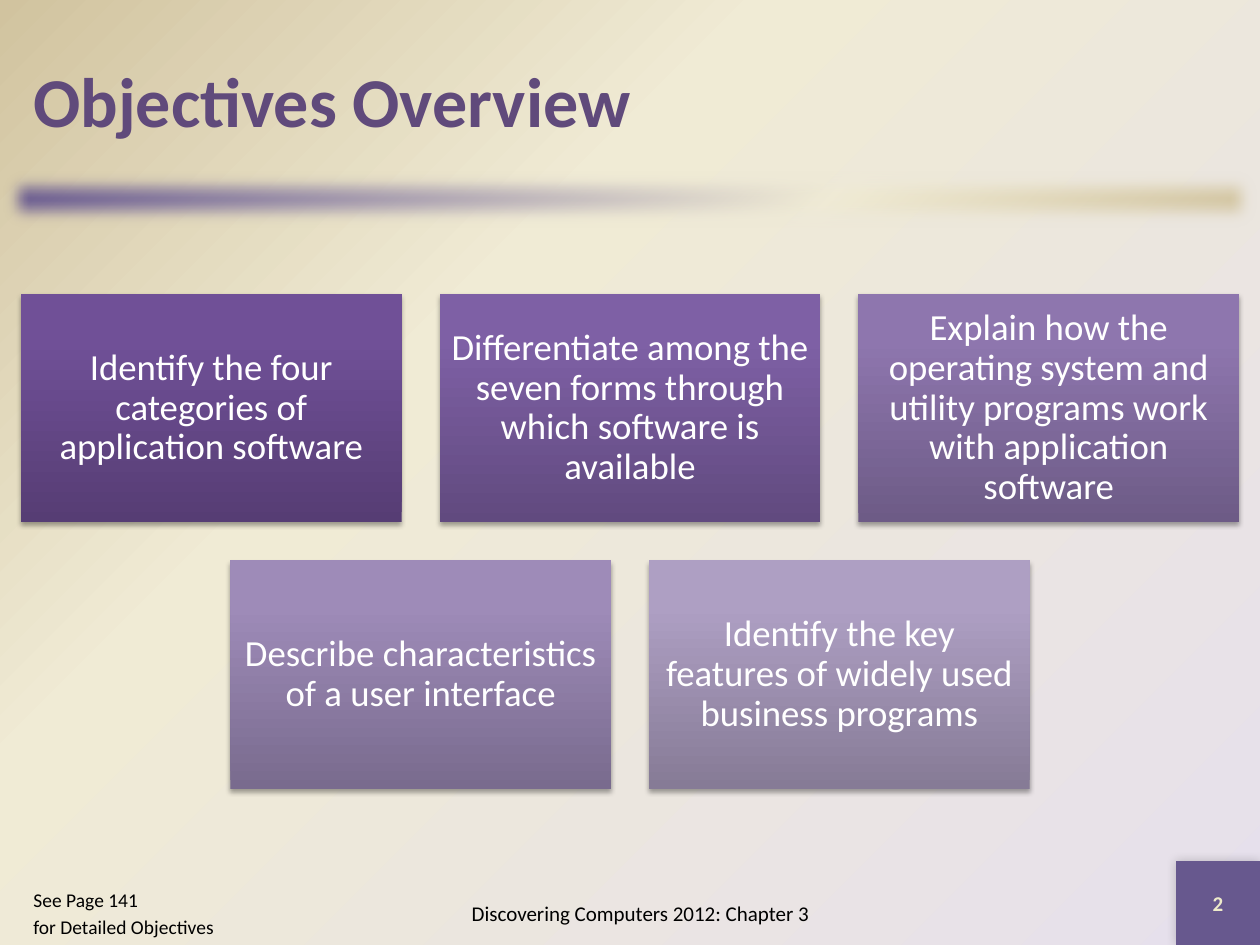
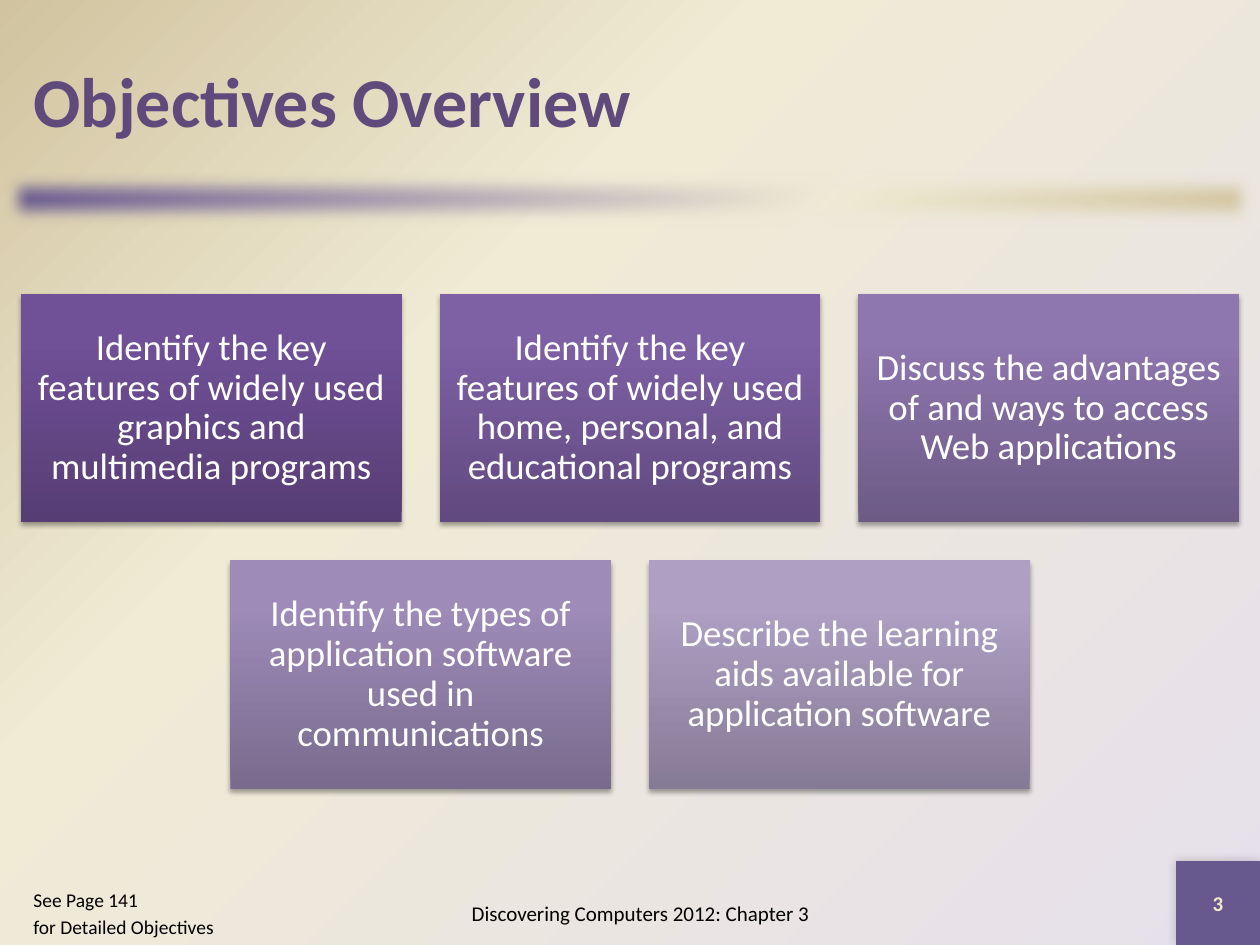
from pptx import Presentation
from pptx.dml.color import RGBColor as RGB
from pptx.enum.shapes import MSO_SHAPE as SHAPE
from pptx.enum.text import MSO_ANCHOR as ANCHOR, PP_ALIGN as ALIGN
from pptx.oxml import parse_xml
from pptx.oxml.ns import nsdecls
from pptx.util import Pt

FONT = "Calibri"
WHITE = RGB(0xFF, 0xFF, 0xFF)
BLACK = RGB(0x00, 0x00, 0x00)
TITLE_PURPLE = RGB(0x60, 0x4A, 0x7B)
ACCENT = RGB(0x67, 0x58, 0x8E)
NUMBER_CREAM = RGB(0xEE, 0xEB, 0xCA)
LAVENDER = RGB(0xE6, 0xE0, 0xEC)
CREAM = RGB(0xF0, 0xEB, 0xD5)
TAN = RGB(0xD1, 0xC3, 0x9F)

BACKGROUND = [(0, LAVENDER), (65, CREAM), (100, TAN)]
BAND = [(0, ACCENT), (65, CREAM), (100, TAN)]
# Bottom, upper and top colour of each objective box
BOX_COLOURS = [
    (RGB(0x56, 0x3D, 0x74), RGB(0x70, 0x50, 0x97), RGB(0x70, 0x4F, 0x99)),
    (RGB(0x61, 0x4A, 0x7F), RGB(0x7E, 0x60, 0xA5), RGB(0x7F, 0x60, 0xA7)),
    (RGB(0x6D, 0x5B, 0x86), RGB(0x8E, 0x76, 0xAE), RGB(0x8E, 0x75, 0xB0)),
    (RGB(0x79, 0x6B, 0x8E), RGB(0x9E, 0x8B, 0xB8), RGB(0x9E, 0x8B, 0xBA)),
    (RGB(0x86, 0x7B, 0x96), RGB(0xAE, 0x9F, 0xC3), RGB(0xAE, 0x9F, 0xC4)),
]

SLIDE_W, SLIDE_H = 720, 540
MARGIN = 12
BOX_W, BOX_H, BOX_GAP = 217.5, 130.5, 21.75
BOX_TOP = 168
PER_ROW = 3
NUMBER_SIDE = 48

OBJECTIVES = [
    ["Identify the four categories of application software",
     "Differentiate among the seven forms through which software is available",
     "Explain how the operating system and utility programs work with application software",
     "Describe characteristics of a user interface",
     "Identify the key features of widely used business programs"],
    ["Identify the key features of widely used graphics and multimedia programs",
     "Identify the key features of widely used home, personal, and educational programs",
     "Discuss the advantages of and ways to access Web applications",
     "Identify the types of application software used in communications",
     "Describe the learning aids available for application software"],
]


def gradient_xml(stops, direction):
    gs = "".join(f'<a:gs pos="{pos * 1000}"><a:srgbClr val="{colour}"/></a:gs>'
                 for pos, colour in stops)
    return (f'<a:gradFill {nsdecls("a")} rotWithShape="1">'
            f'<a:gsLst>{gs}</a:gsLst>{direction}</a:gradFill>')


def linear(angle):
    return f'<a:lin ang="{angle * 60000}" scaled="0"/>'


def shadow(blur, dist, angle, alpha):
    return (f'<a:outerShdw blurRad="{Pt(blur)}" dist="{Pt(dist)}" dir="{angle * 60000}" '
            f'rotWithShape="0"><a:srgbClr val="000000"><a:alpha val="{alpha * 1000}"/>'
            '</a:srgbClr></a:outerShdw>')


class Deck:
    """Holds the presentation, its style and the slide being drawn."""

    def __init__(self):
        self.prs = Presentation()
        self.prs.slide_width, self.prs.slide_height = Pt(SLIDE_W), Pt(SLIDE_H)

    def add_slide(self):
        self.s = self.prs.slides.add_slide(self.prs.slide_layouts[6])
        corner = '<a:path path="circle"><a:fillToRect l="100000" t="100000"/></a:path>'
        self.s._element.cSld.insert(0, parse_xml(
            f'<p:bg {nsdecls("p", "a")}><p:bgPr>{gradient_xml(BACKGROUND, corner)}'
            '<a:effectLst/></p:bgPr></p:bg>'))

    def set_text(self, sp, lines, size, colour, bold=False, align=ALIGN.LEFT,
                 anchor=ANCHOR.MIDDLE, inset=None, line_spacing=None, gap=0):
        tf = sp.text_frame
        tf.word_wrap = True
        tf.vertical_anchor = anchor
        if inset is not None:
            tf.margin_left = tf.margin_right = Pt(inset)
            tf.margin_top = tf.margin_bottom = Pt(inset)
        for i, line in enumerate(lines):
            p = tf.add_paragraph() if i else tf.paragraphs[0]
            p.text = line
            p.alignment = align
            p.line_spacing = line_spacing
            if i:
                p.space_before = Pt(gap)
            p.font.name, p.font.size, p.font.bold = FONT, Pt(size), bold
            p.font.color.rgb = colour

    def text(self, x, y, w, h, lines, size, colour, **style):
        sp = self.s.shapes.add_textbox(Pt(x), Pt(y), Pt(w), Pt(h))
        self.set_text(sp, lines, size, colour, **style)

    def rect(self, x, y, w, h, effect, colour=None, stops=None, angle=0):
        """Add a borderless rectangle, filled with a colour or with gradient stops."""
        sp = self.s.shapes.add_shape(SHAPE.RECTANGLE, Pt(x), Pt(y), Pt(w), Pt(h))
        sp.line.fill.background()
        sp.shadow.inherit = False
        sp_pr = sp.element.spPr
        if stops:
            sp_pr.insert_element_before(
                parse_xml(gradient_xml(stops, linear(angle))), "a:ln")
        else:
            sp.fill.solid()
            sp.fill.fore_color.rgb = colour
        sp_pr.replace(sp_pr[-1], parse_xml(
            f'<a:effectLst {nsdecls("a")}>{effect}</a:effectLst>'))
        return sp

    def frame(self, title, number):
        """Draw the band, title, footer and page number shared by all slides."""
        self.rect(0, 96, SLIDE_W, 36, f'<a:softEdge rad="{Pt(10)}"/>',
                  stops=BAND, angle=45)
        sp = self.rect(SLIDE_W - NUMBER_SIDE, SLIDE_H - NUMBER_SIDE, NUMBER_SIDE,
                       NUMBER_SIDE, shadow(6, 0, 225, 20), colour=ACCENT)
        self.set_text(sp, [str(number)], 12, NUMBER_CREAM, bold=True, align=ALIGN.CENTER)
        self.text(MARGIN, 12, SLIDE_W - 2 * MARGIN, 90, [title], 40, TITLE_PURPLE, bold=True)
        self.text(216, 504, 300, 36, ["Discovering Computers 2012: Chapter 3"],
                  12, BLACK, align=ALIGN.CENTER)
        self.text(MARGIN, 504, 132, 36, ["See Page 141", "for Detailed Objectives"],
                  11.1, BLACK, anchor=ANCHOR.TOP, gap=2.2)

    def objective_boxes(self, objectives):
        """Lay the boxes out in rows, each row centred on the slide."""
        for i, objective in enumerate(objectives):
            row, col = divmod(i, PER_ROW)
            count = min(PER_ROW, len(objectives) - row * PER_ROW)
            left = (SLIDE_W - count * BOX_W - (count - 1) * BOX_GAP) / 2
            sp = self.rect(left + col * (BOX_W + BOX_GAP),
                           BOX_TOP + row * (BOX_H + BOX_GAP), BOX_W, BOX_H,
                           shadow(3.1, 1.8, 90, 35),
                           stops=list(zip((0, 80, 100), BOX_COLOURS[i])), angle=270)
            self.set_text(sp, [objective], 21, WHITE, align=ALIGN.CENTER,
                          inset=6.3, line_spacing=0.9)


def main():
    deck = Deck()
    for number, objectives in enumerate(OBJECTIVES, start=2):
        deck.add_slide()
        deck.frame("Objectives Overview", number)
        deck.objective_boxes(objectives)
    deck.prs.save("out.pptx")


if __name__ == "__main__":
    main()
